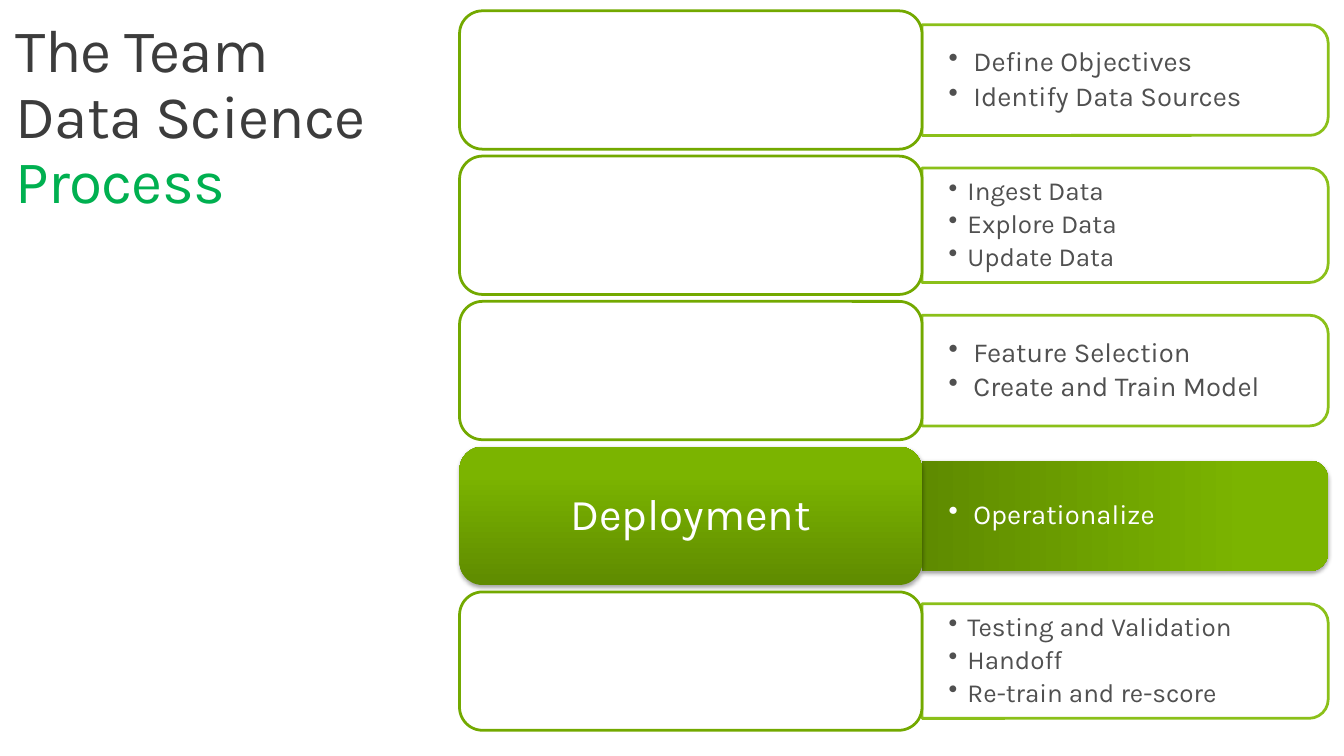
from lxml import etree
from pptx import Presentation, util as u
from pptx.dml.color import RGBColor
from pptx.enum import shapes, text
from pptx.oxml import ns

PX = 9144  # 100 px to the inch
FONT = "Karla"
WHITE = RGBColor(0xFF, 0xFF, 0xFF)
TITLE_GRAY = RGBColor(0x3C, 0x3C, 0x3C)
TITLE_GREEN = RGBColor(0x00, 0xB0, 0x50)
BODY_GRAY = RGBColor(0x50, 0x50, 0x50)
STAGE_LINE = RGBColor(0x73, 0xA9, 0x00)
DETAIL_LINE = RGBColor(0x7F, 0xBA, 0x00)
DARK_GREEN = RGBColor(0x5F, 0x8B, 0x00)
BRIGHT_GREEN = RGBColor(0x7B, 0xB4, 0x00)

ROW_PITCH = 147
STAGE_WIDTH = 468

# stage label (only the current stage shows one), its activities
STAGES = [
    ("", ["Define Objectives", "Identify Data Sources"]),
    ("", ["Ingest Data", "Explore Data", "Update Data"]),
    ("", ["Feature Selection", "Create and Train Model"]),
    ("Deployment", ["Operationalize"]),
    ("", ["Testing and Validation", "Handoff", "Re-train and re-score"]),
]


def add_xml(parent, tag, **attributes):
    return etree.SubElement(parent, ns.qn(tag), attributes)


def add_run(paragraph, words, size, color):
    run = paragraph.add_run()
    run.text = words
    run.font.name = FONT
    run.font.size = u.Pt(size)
    run.font.color.rgb = color
    return run


def add_text_frame(slide, box, inset_x, inset_y, anchor):
    frame = slide.shapes.add_textbox(*(n * PX for n in box)).text_frame
    frame.word_wrap = True
    frame.vertical_anchor = anchor
    frame.margin_left = frame.margin_right = inset_x * PX
    frame.margin_top = frame.margin_bottom = inset_y * PX
    return frame


def add_panel(slide, preset, box, line_color, current):
    """Outlined white panel, or a shaded green one for the current stage."""
    panel = slide.shapes.add_shape(preset, *(round(n * PX) for n in box))
    panel.shadow.inherit = False
    if current:
        panel.fill.gradient()
        panel.fill.gradient_angle = 90
        stops = panel.fill.gradient_stops
        for stop, position, color in zip(stops, (0, 0.8), (DARK_GREEN, BRIGHT_GREEN)):
            stop.position = position
            stop.color.rgb = color
        panel.line.fill.background()
        effects = panel._element.spPr.find(ns.qn("a:effectLst"))
        shadow = add_xml(effects, "a:outerShdw", blurRad=str(u.Pt(3.1)),
                         dist=str(u.Pt(1.8)), dir="5400000", rotWithShape="0")
        black = add_xml(shadow, "a:srgbClr", val="000000")
        add_xml(black, "a:alpha", val="35000")
    else:
        panel.fill.solid()
        panel.fill.fore_color.rgb = WHITE
        panel.line.color.rgb = line_color
        panel.line.width = u.Pt(2)
    return panel


def add_title(slide, box):
    frame = add_text_frame(slide, box, 16, 10, text.MSO_ANCHOR.TOP)
    paragraph = frame.paragraphs[0]
    paragraph.line_spacing = 0.9
    for words, color in (("The Team Data Science ", TITLE_GRAY), ("Process", TITLE_GREEN)):
        run = add_run(paragraph, words, 44, color)
        run.font._element.set("spc", "-60")


def add_activities(slide, box, activities, current):
    left, top, width, height = box
    crowded = len(activities) > 2
    depth = 116 if crowded else 112
    # The panel stands upright and is turned so its round corners face right.
    upright = (left + (width - depth) / 2, top + (height - width) / 2, depth, width)
    panel = add_panel(slide, shapes.MSO_SHAPE.ROUND_2_SAME_RECTANGLE, upright,
                      DETAIL_LINE, current)
    panel.rotation = 90
    if not current:
        panel.line._ln.find(".//" + ns.qn("a:srgbClr")).append(
            etree.Element(ns.qn("a:alpha"), val="90000"))
        panel.fill._xPr.find(ns.qn("a:solidFill"))[0].append(
            etree.Element(ns.qn("a:alpha"), val="90000"))

    frame = add_text_frame(slide, (left, top + 19, width - 6, height - 38),
                           27, 14, text.MSO_ANCHOR.MIDDLE)
    indent = (19 if crowded else 25) * PX
    for i, activity in enumerate(activities):
        paragraph = frame.add_paragraph() if i else frame.paragraphs[0]
        paragraph.level = 1
        paragraph.line_spacing = 0.9
        paragraph.space_after = u.Pt(3.5)
        properties = paragraph._p.get_or_add_pPr()
        properties.set("marL", str(indent))
        properties.set("indent", str(-indent))
        add_xml(properties, "a:buChar", char="•")
        add_run(paragraph, activity, 19 if crowded else 20,
                WHITE if current else BODY_GRAY)


def add_stage(slide, box, label):
    add_panel(slide, shapes.MSO_SHAPE.ROUNDED_RECTANGLE, box, STAGE_LINE, bool(label))
    if label:
        left, top, width, height = box
        frame = add_text_frame(slide, (left + 7, top + 7, width - 14, height - 14),
                               13, 7, text.MSO_ANCHOR.MIDDLE)
        paragraph = frame.paragraphs[0]
        paragraph.alignment = text.PP_ALIGN.CENTER
        paragraph.line_spacing = 0.9
        add_run(paragraph, label, 32, WHITE)


def add_process(slide, box):
    left, top, width, height = box
    stage_height = height - ROW_PITCH * (len(STAGES) - 1)
    for i, (label, activities) in enumerate(STAGES):
        row_top = top + i * ROW_PITCH
        add_activities(slide, (left + STAGE_WIDTH, row_top, width - STAGE_WIDTH, stage_height),
                       activities, bool(label))
        add_stage(slide, (left, row_top, STAGE_WIDTH, stage_height), label)


def main():
    deck = Presentation()
    deck.slide_width, deck.slide_height = 1360 * PX, 765 * PX
    slide = deck.slides.add_slide(deck.slide_layouts[6])
    add_title(slide, (0, 11, 386, 226))
    add_process(slide, (465, 11, 879, 728))
    deck.save("out.pptx")


if __name__ == "__main__":
    main()
